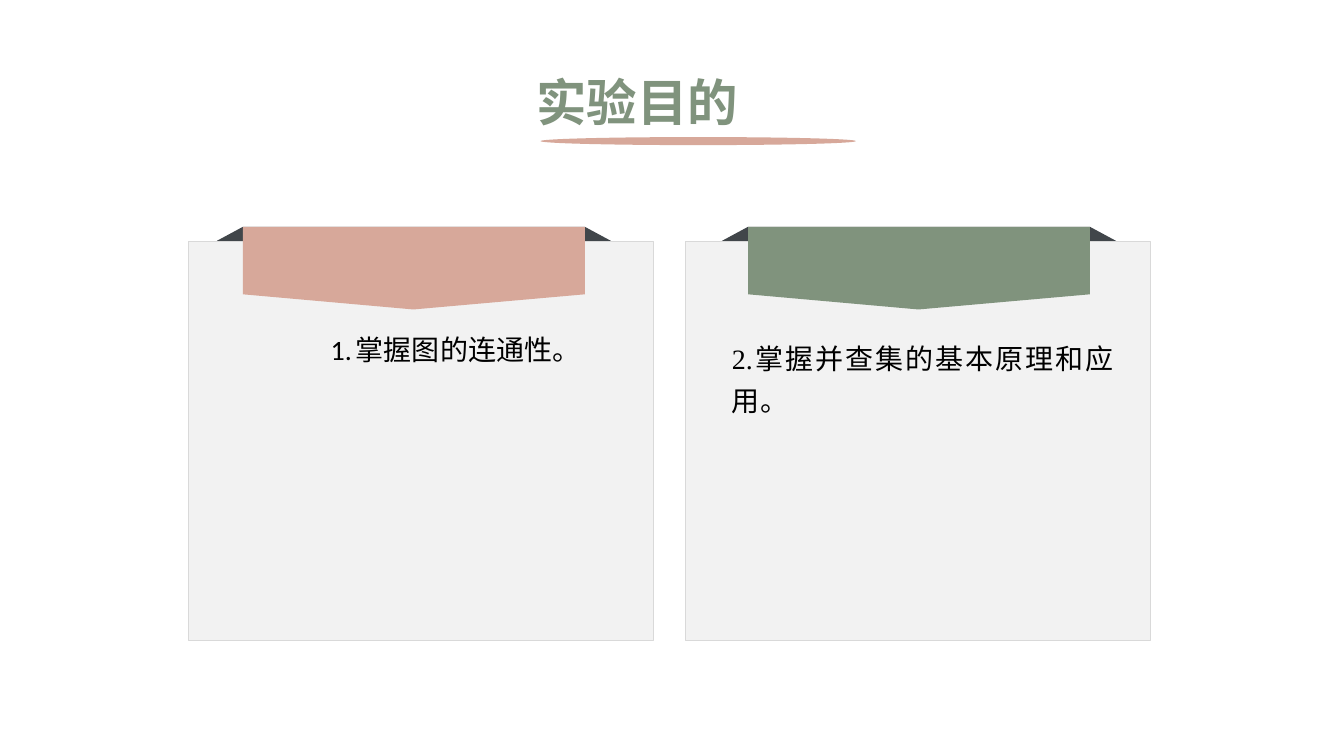
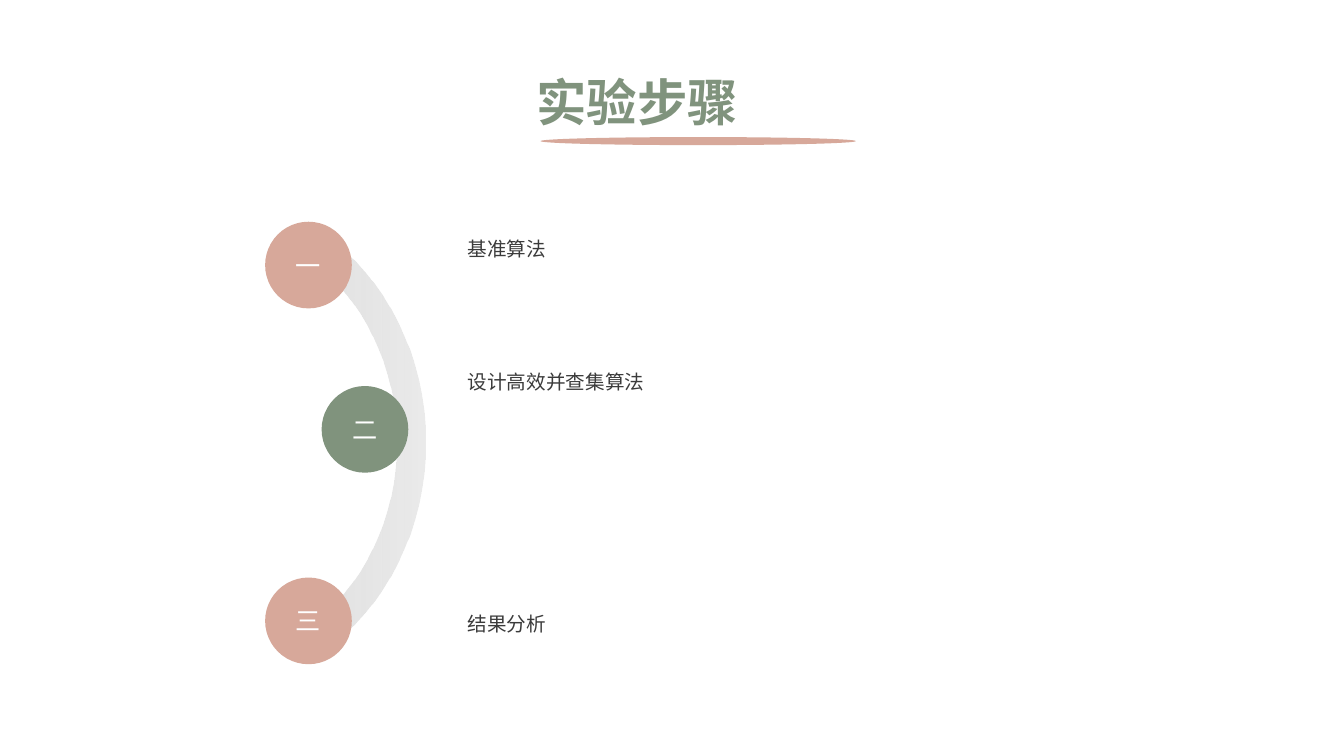
from dataclasses import dataclass

from lxml.etree import SubElement
from pptx import Presentation
from pptx.dml.color import RGBColor
from pptx.enum.shapes import MSO_SHAPE as Preset
from pptx.enum.text import MSO_ANCHOR as Anchor, MSO_AUTO_SIZE as AutoSize, PP_ALIGN as Align
from pptx.oxml import parse_xml
from pptx.oxml.ns import nsdecls, qn
from pptx.util import Pt

PX = 9144  # EMU in one px, 100 px to the inch


@dataclass(frozen=True)
class Theme:
    rose: str = "D7A89A"
    green: str = "80937D"
    fold: str = "41464A"
    panel: str = "F2F2F2"
    border: str = "D9D9D9"
    white: str = "FFFFFF"
    black: str = "000000"
    gray: str = "3B3B3B"
    heading_font: str = "Noto Sans CJK SC"
    card_font: str = "Times New Roman"
    step_font: str = "Calibri"
    east_asian_font: str = "Calibri"
    title_size: int = 36
    card_size: int = 20
    number_size: int = 18
    step_size: int = 14


THEME = Theme()
SLIDE_SIZE = (1333, 750)
TITLE_BOX = (522, 66, 339, 71)
UNDERLINE_BOX = (536, 136, 313, 8)

PURPOSE_TITLE = "实验目的"
PURPOSES = [
    dict(text="掌握图的连通性。", color=THEME.rose, left=187, ribbon=241,
         box=(218, 325, 404, 44), format=dict(numbered=True)),
    dict(text="2.掌握并查集的基本原理和应用。", color=THEME.green, left=680, ribbon=742,
         box=(716, 325, 399, 90), format=dict(align=Align.JUSTIFY, line_spacing=1.25)),
]
CARD_TOP, CARD_WIDTH, CARD_HEIGHT = 240, 461, 395
RIBBON_TOP, RIBBON_WIDTH, RIBBON_SIDE, RIBBON_TIP = 225, 339, 67, 82
FOLD_WIDTH, FOLD_HEIGHT = 26, 14
NUMBER_MARGIN, NUMBER_INDENT = 125, -25

STEPS_TITLE = "实验步骤"
STEPS = [  # number, text, colour, circle left and top, text top
    ("一", "基准算法", THEME.rose, 263, 220, 218),
    ("二", "设计高效并查集算法", THEME.green, 319, 383, 350),
    ("三", "结果分析", THEME.rose, 263, 573, 590),
]
CIRCLE = 86
STEP_LEFT, STEP_WIDTH, STEP_HEIGHT = 454, 440, 41
ARC_BOX = (-23, 233, 478, 412)
ARC_START, ARC_END, ARC_THICKNESS = 206, 336, 0.07


def emu(*lengths):
    return [length * PX for length in lengths]


def fill(shape, color, line=None):
    shape.shadow.inherit = False
    shape.fill.solid()
    shape.fill.fore_color.rgb = RGBColor.from_string(color)
    if line:
        shape.line.color.rgb = RGBColor.from_string(line)
        shape.line.width = Pt(0.75)
    else:
        shape.line.fill.background()


def add_preset(slide, preset, box, color, line=None):
    shape = slide.shapes.add_shape(preset, *emu(*box))
    fill(shape, color, line)
    return shape


def add_polygon(slide, points, color):
    builder = slide.shapes.build_freeform(*points[0], scale=PX)
    builder.add_line_segments(points[1:], close=True)
    fill(builder.convert_to_shape(), color)


def place(shape, box):
    shape.left, shape.top, shape.width, shape.height = emu(*box)


def write(shape, text, *, font, size, color, bold=False, align=Align.LEFT,
          anchor=Anchor.TOP, line_spacing=1.0, numbered=False):
    frame = shape.text_frame
    frame.word_wrap = True
    frame.auto_size = AutoSize.NONE
    frame.vertical_anchor = anchor
    paragraph = frame.paragraphs[0]
    paragraph.alignment = align
    paragraph.line_spacing = line_spacing
    paragraph.space_before = Pt(0)
    run = paragraph.add_run()
    run.text = text
    run.font.name = font
    run.font.size = Pt(size)
    run.font.bold = bold
    run.font.color.rgb = RGBColor.from_string(color)
    SubElement(run.font._element, qn("a:ea"), typeface=THEME.east_asian_font)
    set_bullet(paragraph, numbered)


def set_bullet(paragraph, numbered):
    properties = paragraph._p.get_or_add_pPr()
    margin, indent = (NUMBER_MARGIN, NUMBER_INDENT) if numbered else (0, 0)
    properties.set("marL", str(margin * PX))
    properties.set("indent", str(indent * PX))
    if numbered:
        SubElement(properties, qn("a:buAutoNum"), type="arabicPeriod")
    else:
        SubElement(properties, qn("a:buNone"))


def add_titled_slide(presentation, layout_name, title):
    layout = presentation.slide_layouts.get_by_name(layout_name)
    slide = presentation.slides.add_slide(layout)
    add_preset(slide, Preset.OVAL, UNDERLINE_BOX, THEME.rose)
    place(slide.shapes.title, TITLE_BOX)
    write(slide.shapes.title, title, font=THEME.heading_font, size=THEME.title_size,
          color=THEME.green, bold=True, align=Align.JUSTIFY)
    return slide


def add_card(slide, card, body):
    """Draw a panel with its folded ribbon and put the body text on top."""
    left, top = card["ribbon"], RIBBON_TOP
    right = left + RIBBON_WIDTH
    fold_bottom, side_bottom = top + FOLD_HEIGHT, top + RIBBON_SIDE
    add_preset(slide, Preset.RECTANGLE, (card["left"], CARD_TOP, CARD_WIDTH, CARD_HEIGHT),
               THEME.panel, THEME.border)
    add_polygon(slide, [(left, top), (right, top), (right + FOLD_WIDTH, fold_bottom),
                        (left - FOLD_WIDTH, fold_bottom)], THEME.fold)
    add_polygon(slide, [(left, top), (right, top), (right, side_bottom),
                        ((left + right) // 2, top + RIBBON_TIP), (left, side_bottom)],
                card["color"])
    place(body, card["box"])
    write(body, card["text"], font=THEME.card_font, size=THEME.card_size,
          color=THEME.black, **card["format"])
    slide.shapes._spTree.append(body._element)


def add_arc(slide):
    arc = add_preset(slide, Preset.BLOCK_ARC, ARC_BOX, THEME.border)
    arc.rotation = 90
    for index, degrees in enumerate((ARC_START, ARC_END)):
        arc.adjustments[index] = degrees * 60000 / 100000
    arc.adjustments[2] = ARC_THICKNESS
    gradient = parse_xml(
        f'<a:gradFill {nsdecls("a")} rotWithShape="1"><a:gsLst>'
        f'<a:gs pos="0"><a:srgbClr val="{THEME.border}"><a:alpha val="51000"/></a:srgbClr></a:gs>'
        f'<a:gs pos="100000"><a:srgbClr val="{THEME.white}"/></a:gs>'
        '</a:gsLst><a:lin ang="5400000" scaled="0"/></a:gradFill>')
    properties = arc._element.spPr
    properties.replace(properties.find(qn("a:solidFill")), gradient)


def add_step(slide, number, text, color, left, top, text_top):
    circle = add_preset(slide, Preset.OVAL, (left, top, CIRCLE, CIRCLE), color)
    write(circle, number, font=THEME.heading_font, size=THEME.number_size,
          color=THEME.white, align=Align.CENTER, anchor=Anchor.MIDDLE)
    label = slide.shapes.add_textbox(*emu(STEP_LEFT, text_top, STEP_WIDTH, STEP_HEIGHT))
    write(label, text, font=THEME.step_font, size=THEME.step_size,
          color=THEME.gray, line_spacing=1.5)


def build_purpose_slide(presentation):
    slide = add_titled_slide(presentation, "Two Content", PURPOSE_TITLE)
    bodies = list(slide.placeholders)[1:]
    for card, body in zip(PURPOSES, bodies):
        add_card(slide, card, body)


def build_steps_slide(presentation):
    slide = add_titled_slide(presentation, "Title Only", STEPS_TITLE)
    add_arc(slide)
    for step in STEPS:
        add_step(slide, *step)


def main():
    presentation = Presentation()
    presentation.slide_width, presentation.slide_height = emu(*SLIDE_SIZE)
    build_purpose_slide(presentation)
    build_steps_slide(presentation)
    presentation.save("out.pptx")


if __name__ == "__main__":
    main()
